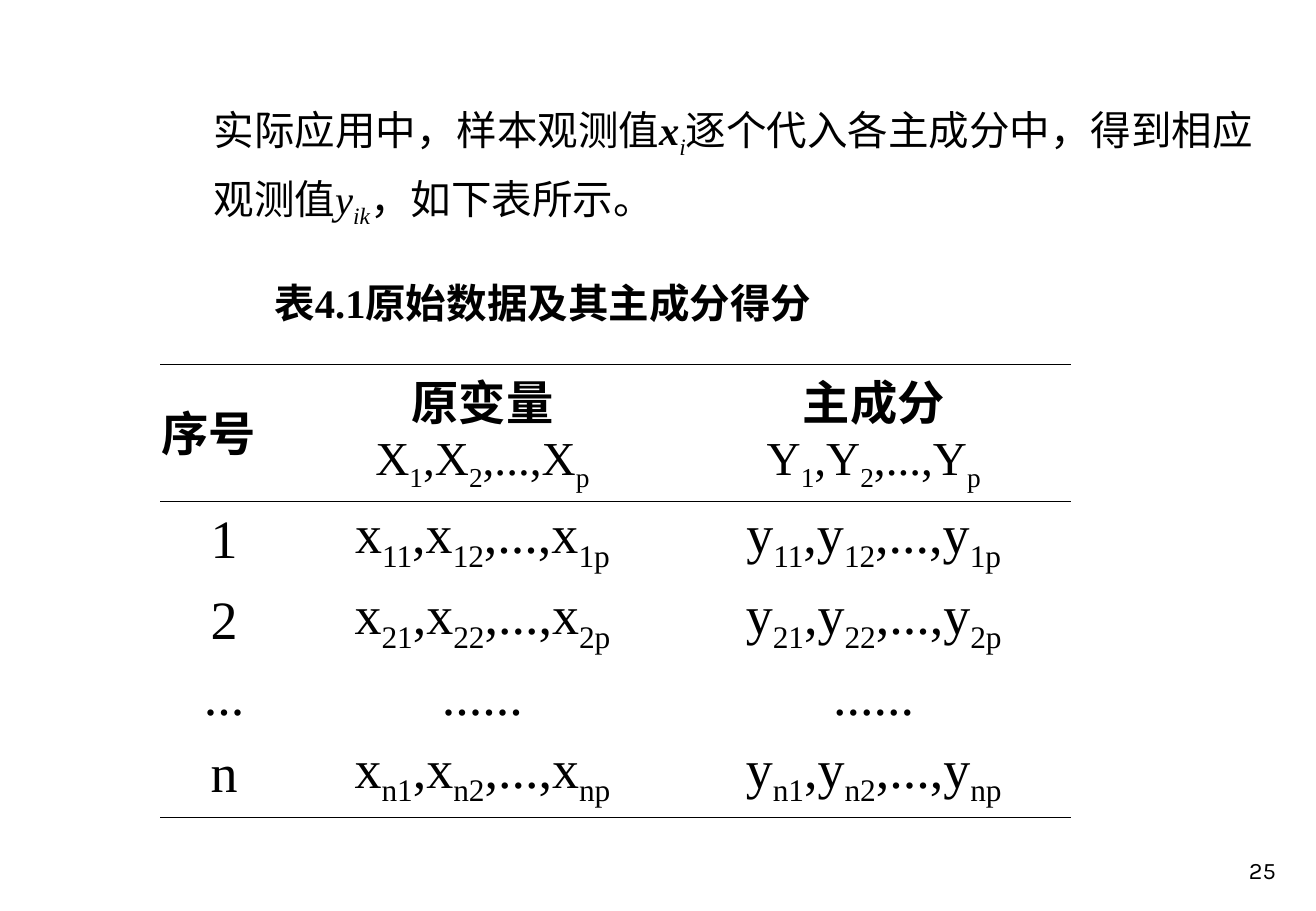
"""Build the slide on original data and their principal component scores."""
from dataclasses import dataclass

from lxml import etree
from pptx import Presentation
from pptx.dml.color import RGBColor
from pptx.enum.text import MSO_ANCHOR, MSO_AUTO_SIZE, PP_ALIGN
from pptx.oxml.ns import qn
from pptx.util import Inches, Pt

LEFT, CENTER, RIGHT = PP_ALIGN.LEFT, PP_ALIGN.CENTER, PP_ALIGN.RIGHT
TOP, MIDDLE, BOTTOM = MSO_ANCHOR.TOP, MSO_ANCHOR.MIDDLE, MSO_ANCHOR.BOTTOM
GROW, FIXED = MSO_AUTO_SIZE.SHAPE_TO_FIT_TEXT, MSO_AUTO_SIZE.NONE


@dataclass(frozen=True)
class Theme:
    """Colours, fonts and type sizes of the slide."""
    ink: str = "000000"
    serif: str = "Times New Roman"
    sans: str = "Karla"
    body: int = 24
    heading: int = 28
    score: int = 32
    page: int = 14
    rule: float = 0.5


@dataclass(frozen=True)
class Piece:
    """A stretch of text with its emphasis."""
    text: str
    bold: bool = False
    italic: bool = False
    sub: bool = False


@dataclass(frozen=True)
class Block:
    """A free text block with its place and format."""
    pieces: list[Piece]
    box: tuple[float, float, float, float]
    size: int
    font: str
    align: PP_ALIGN = LEFT
    anchor: MSO_ANCHOR = TOP
    fit: MSO_AUTO_SIZE = GROW
    spacing: float = 1.0


THEME = Theme()
COLUMNS = (1.05, 3.2, 3.24)
ROW_HEIGHT = 0.54
RULES_ABOVE, RULES_BELOW = {0, 2}, {1, 5}

BLOCKS = [
    Block([Piece("实际应用中，样本观测值"), Piece("x", bold=True, italic=True),
           Piece("i", italic=True, sub=True),
           Piece("逐个代入各主成分中，得到相应观测值"),
           Piece("y", italic=True), Piece("ik", italic=True, sub=True),
           Piece("，如下表所示。")],
          (1.66, 0.7, 8.86, 1.11), THEME.body, THEME.serif, spacing=1.25),
    Block([Piece("表4.1原始数据及其主成分得分", bold=True)],
          (2.16, 2.24, 5.8, 0.5), THEME.body, THEME.serif),
    Block([Piece("25")], (8.34, 6.83, 2.26, 0.5), THEME.page, THEME.sans,
          align=RIGHT, anchor=BOTTOM, fit=FIXED),
]


def series(letter: str, row: str = "") -> list[Piece]:
    """Return the pieces of a subscripted list such as x11,x12,...,x1p."""
    pieces = []
    for lead, index in (("", "1"), (",", "2"), (",...,", "p")):
        pieces += [Piece(lead + letter), Piece(row + index, sub=True)]
    return pieces


def write(frame, pieces: list[Piece], *, size: int, font: str = THEME.serif,
          align: PP_ALIGN = LEFT, spacing: float = 1.0) -> None:
    """Write formatted pieces into the first paragraph of a text frame."""
    paragraph = frame.paragraphs[0]
    paragraph.alignment = align
    paragraph.line_spacing = spacing
    for piece in pieces:
        run = paragraph.add_run()
        run.text = piece.text
        run.font.name = font
        run.font.size = Pt(size)
        run.font.bold = piece.bold
        run.font.italic = piece.italic
        run.font.color.rgb = RGBColor.from_string(THEME.ink)
        if piece.sub:
            run.font._element.set("baseline", "-25000")


def add_block(slide, block: Block) -> None:
    """Add a free text block to the slide."""
    frame = slide.shapes.add_textbox(*map(Inches, block.box)).text_frame
    frame.word_wrap = True
    frame.auto_size = block.fit
    frame.vertical_anchor = block.anchor
    write(frame, block.pieces, size=block.size, font=block.font,
          align=block.align, spacing=block.spacing)


def set_rules(cell, above: bool, below: bool) -> None:
    """Draw the horizontal rules of a cell and clear its other edges."""
    properties = cell._tc.get_or_add_tcPr()
    edges = (("a:lnL", False), ("a:lnR", False), ("a:lnT", above), ("a:lnB", below))
    for position, (edge, ruled) in enumerate(edges):
        line = etree.Element(qn(edge), w=str(Pt(THEME.rule)))
        if ruled:
            fill = etree.SubElement(line, qn("a:solidFill"))
            etree.SubElement(fill, qn("a:srgbClr"), val=THEME.ink)
        else:
            etree.SubElement(line, qn("a:noFill"))
        properties.insert(position, line)


def add_scores(slide) -> None:
    """Add the table of original variables and principal components."""
    content = [[[Piece(title, bold=True)] for title in ("序号", "原变量", "主成分")],
               [[], series("X"), series("Y")]]
    for label in ("1", "2", "...", "n"):
        if label == "...":
            scores = [[Piece("......")], [Piece("......")]]
        else:
            scores = [series("x", label), series("y", label)]
        content.append([[Piece(label)], *scores])

    table = slide.shapes.add_table(
        len(content), len(COLUMNS), Inches(1.32), Inches(3),
        Inches(sum(COLUMNS)), Inches(ROW_HEIGHT * len(content))).table
    table.first_row = table.horz_banding = False
    for column, width in zip(table.columns, COLUMNS):
        column.width = Inches(width)
    table.cell(0, 0).merge(table.cell(1, 0))

    for r, row in enumerate(content):
        for c, pieces in enumerate(row):
            cell = table.cell(r, c)
            cell.margin_left = cell.margin_right = cell.margin_top = Inches(0.01)
            cell.margin_bottom = Inches(0.05)
            cell.vertical_anchor = MIDDLE
            cell.fill.background()
            spans = cell.is_merge_origin
            set_rules(cell, r in RULES_ABOVE, r in RULES_BELOW or spans)
            write(cell.text_frame, pieces, align=LEFT if spans else CENTER,
                  size=THEME.heading if r < 2 else THEME.score)


def main() -> None:
    """Build and save the presentation."""
    deck = Presentation()
    deck.slide_width, deck.slide_height = Inches(10.83), Inches(7.5)
    slide = deck.slides.add_slide(deck.slide_layouts[6])
    for block in BLOCKS:
        add_block(slide, block)
    add_scores(slide)
    deck.save("out.pptx")


if __name__ == "__main__":
    main()
